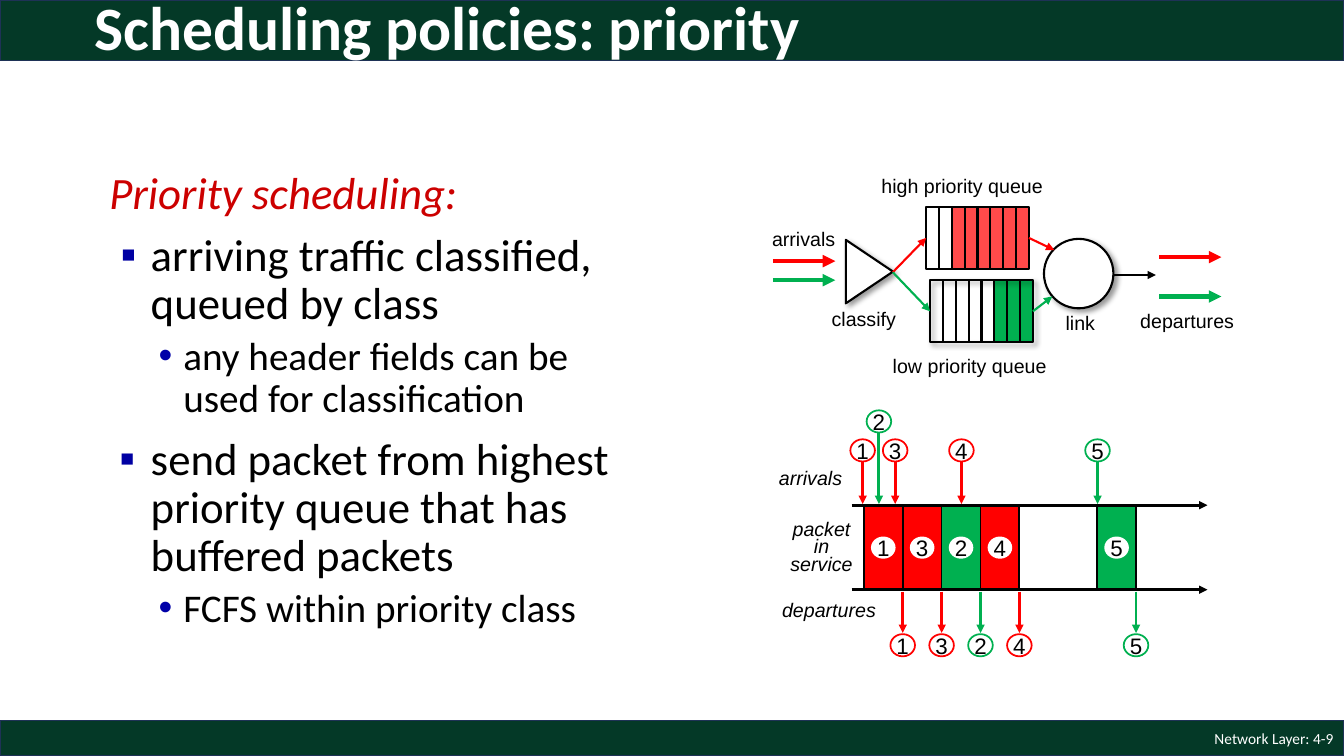
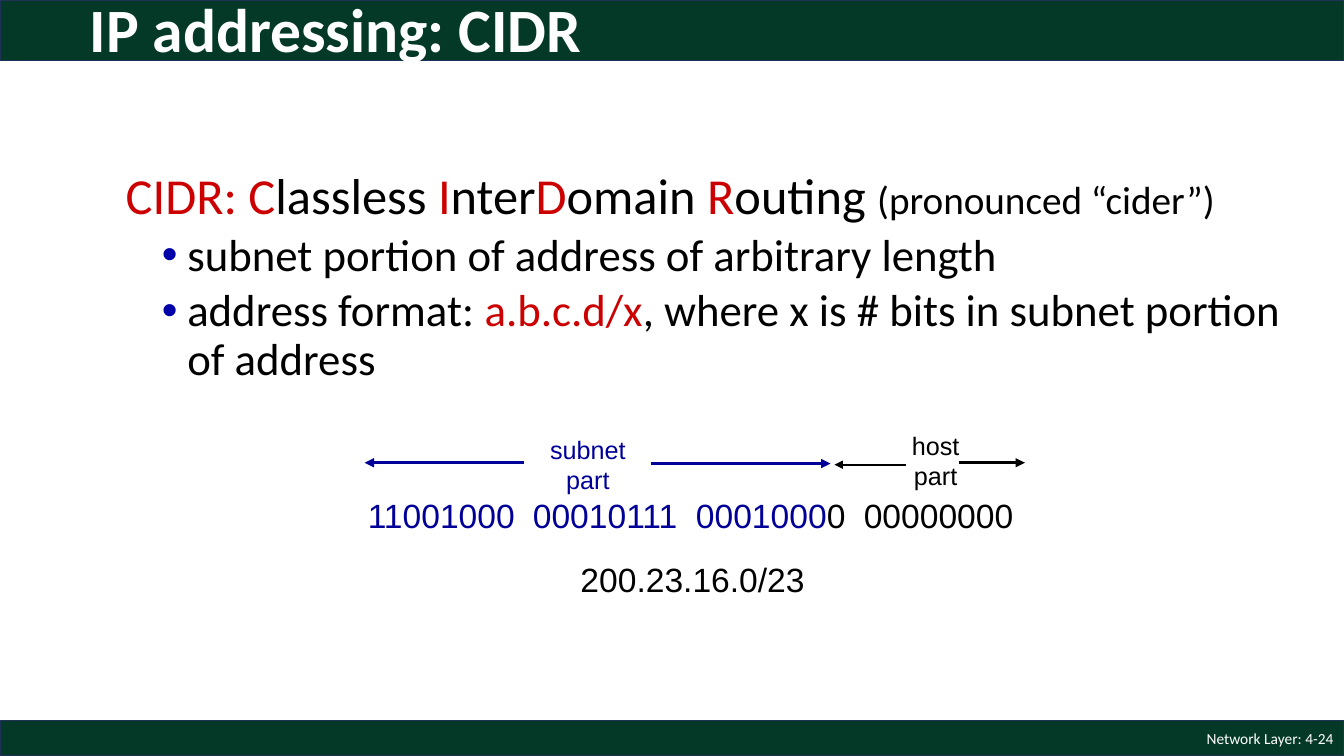
"""Build two network-layer lecture slides: priority scheduling and CIDR."""
from dataclasses import dataclass, field

from lxml.etree import SubElement
from pptx import Presentation
from pptx.dml.color import RGBColor
from pptx.enum.shapes import MSO_CONNECTOR, MSO_SHAPE
from pptx.enum.text import MSO_ANCHOR, PP_ALIGN
from pptx.oxml.ns import qn
from pptx.util import Cm, Pt


@dataclass(frozen=True)
class Theme:
    band: str = "043927"
    band_edge: str = "1E3256"
    white: str = "FFFFFF"
    black: str = "000000"
    accent: str = "CC0000"
    square_bullet: str = "0000A3"
    dot_bullet: str = "0000A8"
    subnet: str = "000099"
    high: str = "FF0000"
    high_queue: str = "FF4A4A"
    low: str = "00B050"
    body_font: str = "Calibri"
    figure_font: str = "Arial"
    title_size: int = 44
    lead_size: int = 36
    body_size: int = 32
    detail_size: int = 28
    bits_size: int = 24
    part_size: int = 18
    packet_size: int = 16
    label_size: int = 14
    footer_size: int = 11


@dataclass
class Para:
    runs: list
    format: dict = field(default_factory=dict)
    indent: tuple = ()
    bullet: tuple = ()
    tabs: tuple = ()


THEME = Theme()
WIDTH, HEIGHT = 33.87, 19.05
CENTERED = {"alignment": PP_ALIGN.CENTER}
MIDDLE = {"vertical_anchor": MSO_ANCHOR.MIDDLE}
NO_WRAP = {"word_wrap": False}
NO_MARGINS = {side: 0 for side in
              ("margin_left", "margin_top", "margin_right", "margin_bottom")}
TOP_LEVEL = {"line_spacing": 0.9, "space_before": Pt(10)}
SUB_LEVEL = {"line_spacing": 0.9, "space_before": Pt(5), "level": 1}


def apply(target, values):
    for name, value in values.items():
        setattr(target, name, value)


def run(text, size, color=THEME.black, font=THEME.body_font, **style):
    return text, color, {"size": Pt(size), "name": font, **style}


def figure_run(text, size=THEME.label_size, color=THEME.black, **style):
    return run(text, size, color, THEME.figure_font, **style)


def lead(*runs):
    return Para(runs, TOP_LEVEL, (0.99, -0.61))


def point(text, hanging):
    return Para([run(text, THEME.body_size)], TOP_LEVEL, (1.42, hanging),
                ("▪", THEME.square_bullet))


def subpoint(*runs, indent=(2.24, -0.62)):
    return Para(runs, SUB_LEVEL, indent, ("•", THEME.dot_bullet))


class Deck:
    def __init__(self):
        self.presentation = Presentation()
        apply(self.presentation,
              {"slide_width": Cm(WIDTH), "slide_height": Cm(HEIGHT)})
        self.slide = None

    def start(self, number):
        self.slide = self.presentation.slides.add_slide(
            self.presentation.slide_layouts[6])
        for top, height in ((18.16, 0.89), (0, 1.52)):
            self.shape(MSO_SHAPE.RECTANGLE, (0, top, WIDTH, height),
                       THEME.band, THEME.band_edge, 1)
        footer = run(f"Network Layer: {number}", THEME.footer_size, THEME.white)
        self.text((26.24, 18.16, 7.62, 0.89),
                  Para([footer], {"alignment": PP_ALIGN.RIGHT}), frame=MIDDLE)

    def title(self, wording, left, top):
        heading = run(wording, THEME.title_size, THEME.white, bold=True)
        self.text((left, top, 29.21, 2.49),
                  Para([heading], {"line_spacing": 0.9}), frame=MIDDLE)

    def fill_text(self, holder, paras, frame):
        text_frame = holder.text_frame
        apply(text_frame, {"word_wrap": True, **frame})
        for index, para in enumerate(paras):
            paragraph = (text_frame.add_paragraph() if index
                         else text_frame.paragraphs[0])
            apply(paragraph, para.format)
            properties = paragraph._p.get_or_add_pPr()
            if para.indent:
                for name, value in zip(("marL", "indent"), para.indent):
                    properties.set(name, str(Cm(value)))
            if para.bullet:
                symbol, color = para.bullet
                tint = SubElement(properties, qn("a:buClr"))
                SubElement(tint, qn("a:srgbClr"), val=color)
                SubElement(properties, qn("a:buFont"), typeface=THEME.figure_font)
                SubElement(properties, qn("a:buChar"), char=symbol)
            if para.tabs:
                stops = SubElement(properties, qn("a:tabLst"))
                for stop in para.tabs:
                    SubElement(stops, qn("a:tab"), pos=str(Cm(stop)), algn="l")
            for wording, color, style in para.runs:
                piece = paragraph.add_run()
                piece.text = wording
                apply(piece.font, style)
                piece.font.color.rgb = RGBColor.from_string(color)

    def text(self, box, *paras, frame=None):
        holder = self.slide.shapes.add_textbox(*map(Cm, box))
        self.fill_text(holder, paras, frame or {})

    def label(self, left, top, width, *lines, size=THEME.label_size,
              color=THEME.black, format=CENTERED, **style):
        paras = [Para([figure_run(line, size, color, **style)], format)
                 for line in lines]
        self.text((left, top, width, 0.86), *paras, frame=NO_WRAP)

    def shape(self, kind, box, fill=None, edge=None, weight=1.5,
              shadow=False, rotation=0):
        shape = self.slide.shapes.add_shape(kind, *map(Cm, box))
        shape.shadow.inherit = False
        shape.rotation = rotation
        for part, color in ((shape.fill, fill), (shape.line.fill, edge)):
            if color:
                part.solid()
                part.fore_color.rgb = RGBColor.from_string(color)
            else:
                part.background()
        if edge:
            shape.line.width = Pt(weight)
        if shadow:
            effects = shape.element.spPr.find(qn("a:effectLst"))
            cast = SubElement(effects, qn("a:outerShdw"), blurRad=str(Pt(4)),
                              dist=str(Pt(3)), dir="2700000", rotWithShape="0")
            tint = SubElement(cast, qn("a:srgbClr"), val=THEME.black)
            SubElement(tint, qn("a:alpha"), val="40000")
        return shape

    def line(self, start, end, color=THEME.black, weight=1.5, arrow=True):
        line = self.slide.shapes.add_connector(
            MSO_CONNECTOR.STRAIGHT, *map(Cm, (*start, *end)))
        line.line.color.rgb = RGBColor.from_string(color)
        line.line.width = Pt(weight)
        if arrow:
            SubElement(line.line._get_or_add_ln(), qn("a:tailEnd"), type="triangle")
        SubElement(line.element.spPr, qn("a:effectLst"))
        return line

    def queue(self, left, top, color, free, shadow=False):
        width, height, slots = 2.59, 1.57, 8
        pitch = width / slots
        self.shape(MSO_SHAPE.RECTANGLE, (left + free * pitch, top,
                   (slots - free) * pitch, height), color)
        frame = self.shape(MSO_SHAPE.RECTANGLE, (left, top, width, height),
                           edge=THEME.black, shadow=shadow)
        for slot in range(1, slots):
            x = left + slot * pitch
            self.line((x, top), (x, top + height), arrow=False)
        return frame

    def packet(self, number, center, top, edge=None):
        disc = self.shape(MSO_SHAPE.OVAL, (center - 0.31, top, 0.62, 0.56),
                          THEME.white, edge, 1.25)
        digit = figure_run(str(number), THEME.packet_size)
        self.fill_text(disc, [Para([digit], CENTERED)],
                       {**NO_WRAP, **MIDDLE, **NO_MARGINS})

    def save(self):
        self.presentation.save("out.pptx")


def draw_queues(deck):
    low_queue = deck.queue(23.44, 7.06, THEME.low, 5, shadow=True)
    high_queue = deck.queue(23.34, 5.21, THEME.high_queue, 2)
    deck.shape(MSO_SHAPE.ISOSCELES_TRIANGLE, (21.11, 6.25, 1.6, 1.19),
               THEME.white, THEME.black, shadow=True, rotation=90)
    deck.shape(MSO_SHAPE.OVAL, (26.31, 6.02, 1.75, 1.75),
               THEME.white, THEME.black, shadow=True)
    classifier = (22.5, 6.86)
    for queue, color, link_edge in ((high_queue, THEME.high, (26.57, 6.3)),
                                    (low_queue, THEME.low, (26.52, 7.47))):
        deck.line(classifier, classifier, color).end_connect(queue, 1)
        deck.line(link_edge, link_edge, color).begin_connect(queue, 3)
    deck.line((28.07, 6.93), (29.13, 6.93))
    for left, top, width, wording in (
            (21.95, 4.27, 4.6, "high priority queue"),
            (22.23, 8.79, 4.42, "low priority queue"),
            (19.2, 5.59, 2.11, "arrivals"),
            (20.68, 7.62, 2.18, "classify"),
            (28.47, 7.67, 2.9, "departures"),
            (26.59, 7.7, 1.27, "link")):
        deck.label(left, top, width, wording)
    for left, y, color in ((19.48, 6.58, THEME.high), (19.48, 7.06, THEME.low),
                           (29.21, 6.48, THEME.high), (29.21, 7.47, THEME.low)):
        deck.line((left, y), (left + 1.57, y), color, 3)


def draw_timeline(deck):
    class_color = {1: THEME.high, 2: THEME.low, 3: THEME.high,
                   4: THEME.high, 5: THEME.low}
    first, pitch = 21.77, 0.98
    for number, slot in ((1, 0), (3, 1), (2, 2), (4, 3), (5, 6)):
        left, color = first + slot * pitch, class_color[number]
        departure = left + pitch
        deck.shape(MSO_SHAPE.RECTANGLE, (left, 12.75, pitch, 2.1),
                   color, THEME.black, 1.25)
        deck.packet(number, left + pitch / 2, 13.52)
        deck.packet(number, departure, 15.98, color)
        deck.line((departure, 14.91), (departure, 15.95), color, 2)
    for y in (12.73, 14.86):
        deck.line((21.46, y), (30.43, y), weight=2)
    for number, x, top in ((1, 21.74, 11.07), (3, 22.56, 11.07), (4, 24.23, 11.07),
                           (2, 22.15, 10.34), (5, 27.66, 11.07)):
        deck.packet(number, x, top, class_color[number])
        deck.line((x, top + 0.56), (x, 12.7), class_color[number], 2)
    deck.label(19.38, 11.61, 2.24, "arrivals", format={}, italic=True)
    deck.label(19.46, 14.94, 3.02, "departures", format={}, italic=True)
    deck.text((19.51, 13.03, 2.39, 1.65),
              Para([figure_run("packet in service", italic=True)],
                   {**CENTERED, "line_spacing": Pt(12.8)}))


def priority_slide(deck):
    deck.start("4-9")
    deck.text((2.13, 4.17, 14.12, 7.44),
              lead(run("Priority scheduling:", THEME.body_size, THEME.accent,
                       italic=True)),
              point("arriving traffic classified, queued by class", -0.76),
              subpoint(run("any header fields can be used for classification",
                           THEME.detail_size)))
    deck.text((2.13, 10.87, 14.12, 5.46),
              point("send packet from highest priority queue that has "
                    "buffered packets", -0.79),
              subpoint(run("FCFS within priority class", THEME.detail_size)))
    draw_queues(deck)
    draw_timeline(deck)
    deck.title("Scheduling policies: priority", 2.13, -0.48)


def cidr_slide(deck):
    deck.start("4-24")
    acronym = [run(text, THEME.lead_size, color) for text, color in (
        ("CIDR: C", THEME.accent), ("lassless ", THEME.black),
        ("I", THEME.accent), ("nter", THEME.black),
        ("D", THEME.accent), ("omain ", THEME.black),
        ("R", THEME.accent), ("outing ", THEME.black))]
    size, indent = THEME.body_size, (1.93, -0.64)
    deck.text((2.54, 4.19, 30.81, 5.77),
              lead(*acronym, run("(pronounced “cider”)", THEME.detail_size)),
              subpoint(run("subnet portion of address of arbitrary length", size),
                       indent=indent),
              subpoint(run("address format: ", size),
                       run("a.b.c.d/x", size, THEME.accent),
                       run(", where x is # bits in subnet portion of address", size),
                       indent=indent))
    subnet_bits = "\t".join(("11001000", "00010111", "0001000"))
    host_bits = "\t".join(("0", "00000000"))
    deck.text((9.02, 12.34, 17.02, 1.27),
              Para([figure_run(subnet_bits, THEME.bits_size, THEME.subnet),
                    figure_run(host_bits, THEME.bits_size)],
                   tabs=(4.16, 8.27, 12.5)))
    deck.label(13.61, 10.82, 2.41, "subnet", "part",
               size=THEME.part_size, color=THEME.subnet)
    deck.label(22.73, 10.72, 1.7, "host", "part", size=THEME.part_size)
    deck.label(14.38, 13.97, 6.17, "200.23.16.0/23", size=THEME.bits_size, format={})
    for start, end, y, color, weight in (
            (16.41, 20.93, 11.68, THEME.subnet, 2.25),
            (24.18, 25.83, 11.66, THEME.black, 2.25),
            (13.21, 9.19, 11.66, THEME.subnet, 2.25),
            (22.83, 21.03, 11.71, THEME.black, 1.5)):
        deck.line((start, y), (end, y), color, weight)
    deck.title("IP addressing: CIDR", 2.01, -0.43)


def main():
    deck = Deck()
    priority_slide(deck)
    cidr_slide(deck)
    deck.save()


if __name__ == "__main__":
    main()
